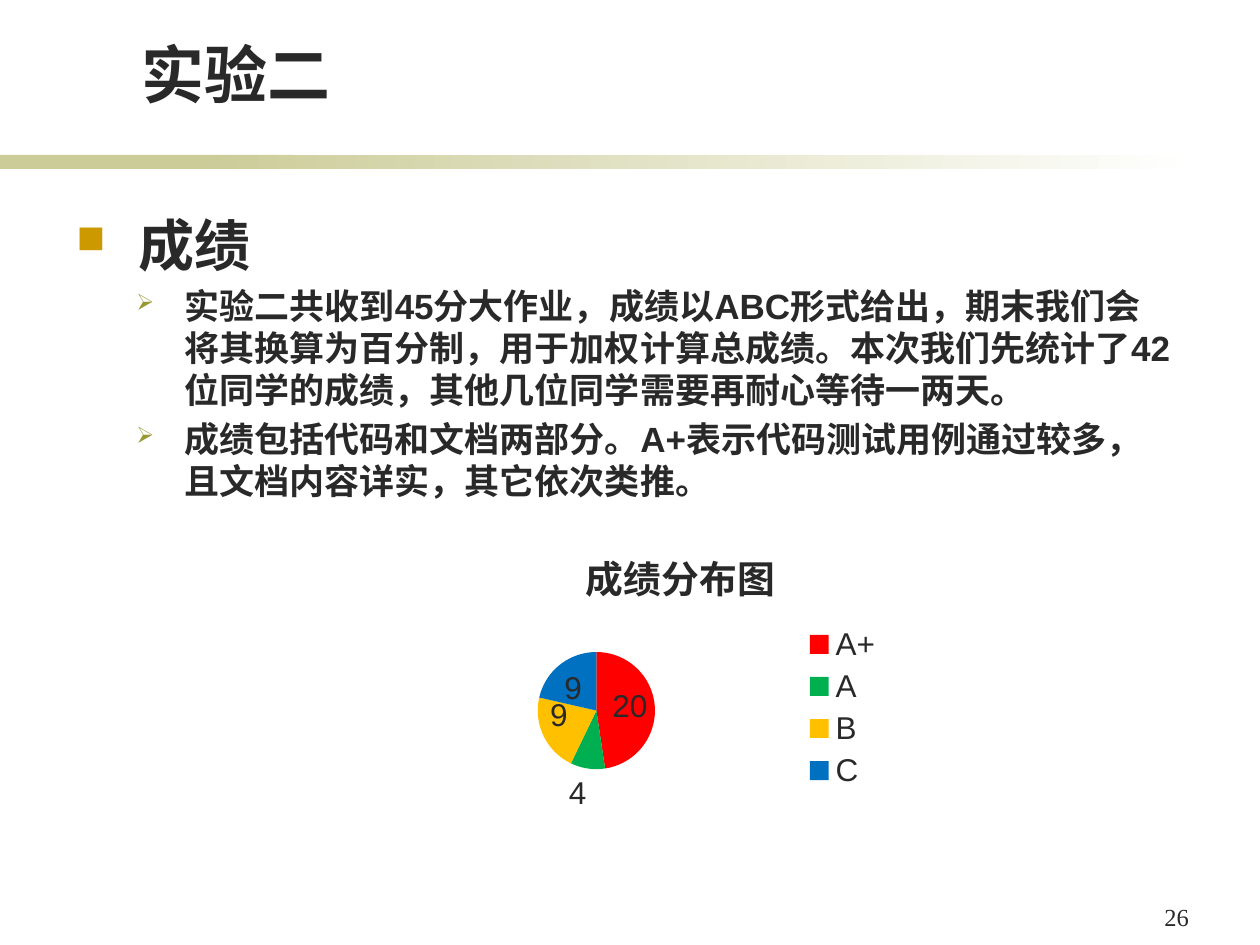
"""Build the grade summary slide with its bulleted notes and pie chart."""
from dataclasses import dataclass

import pptx
import pptx.chart.data
import pptx.dml.color
import pptx.enum.chart
import pptx.enum.shapes
import pptx.enum.text
import pptx.oxml
import pptx.oxml.ns
import pptx.util

EMU_PER_PX = 914400 / 126


@dataclass(frozen=True)
class Theme:
    """Colours, fonts and type sizes of the slide."""
    ink: str = "292929"
    band: str = "CCCC99"
    paper: str = "FFFFFF"
    gold: str = "CC9900"
    olive: str = "999933"
    font: str = "Arial"
    number_font: str = "Times New Roman"
    title: float = 36
    heading: float = 32
    note: float = 20
    chart: float = 18
    chart_title: float = 21.6
    number: float = 14


@dataclass(frozen=True)
class Area:
    """A rectangle in px."""
    left: int
    top: int
    width: int
    height: int

    def emu(self) -> tuple:
        """Return the rectangle in EMU."""
        return tuple(px(n) for n in (self.left, self.top, self.width, self.height))


@dataclass(frozen=True)
class Bullet:
    """A bullet style with its indent in px."""
    mark: str
    color: str
    percent: int
    size: float
    margin: int
    hanging: int


@dataclass(frozen=True)
class Grade:
    """One slice of the pie."""
    name: str
    count: int
    color: str
    outside: bool = False


THEME = Theme()
HEADING = Bullet("■", THEME.gold, 70, THEME.heading, 62, 62)
NOTE = Bullet("➢", THEME.olive, 65, THEME.note, 108, 48)
LINES = (
    (HEADING, "成绩"),
    (NOTE, "实验二共收到45分大作业，成绩以ABC形式给出，期末我们会将其换算为百分制，"
           "用于加权计算总成绩。本次我们先统计了42位同学的成绩，其他几位同学需要再耐心等待一两天。"),
    (NOTE, "成绩包括代码和文档两部分。A+表示代码测试用例通过较多，且文档内容详实，其它依次类推。"),
)
GRADES = (
    Grade("A+", 20, "FF0000"),
    Grade("A", 4, "00B050", outside=True),
    Grade("B", 9, "FFC000"),
    Grade("C", 9, "0070C0"),
)


def px(length: int) -> pptx.util.Emu:
    """Convert px to EMU."""
    return pptx.util.Emu(round(length * EMU_PER_PX))


def rgb(color: str) -> pptx.dml.color.RGBColor:
    """Convert a hex string to a colour."""
    return pptx.dml.color.RGBColor.from_string(color)


def style_font(font, size: float, bold: bool = False, name: str = THEME.font) -> None:
    """Set a font in the ink colour."""
    font.name, font.size, font.bold = name, pptx.util.Pt(size), bold
    font.color.rgb = rgb(THEME.ink)


def add_band(page, area: Area, fades: bool) -> None:
    """Draw one part of the rule below the title."""
    band = page.shapes.add_shape(pptx.enum.shapes.MSO_SHAPE.RECTANGLE, *area.emu())
    band.shadow.inherit = False
    band.line.fill.background()
    if fades:
        band.fill.gradient()
        band.fill.gradient_angle = 0
        for stop, color in zip(band.fill.gradient_stops, (THEME.band, THEME.paper)):
            stop.color.rgb = rgb(color)
    else:
        band.fill.solid()
        band.fill.fore_color.rgb = rgb(THEME.band)


def set_title(page, text: str, area: Area) -> None:
    """Fill and place the title placeholder."""
    title = page.shapes.title
    title.left, title.top, title.width, title.height = area.emu()
    frame = title.text_frame
    frame.text = text
    frame.auto_size = pptx.enum.text.MSO_AUTO_SIZE.NONE
    frame.vertical_anchor = pptx.enum.text.MSO_ANCHOR.BOTTOM
    para = frame.paragraphs[0]
    para.alignment = pptx.enum.text.PP_ALIGN.LEFT
    style_font(para.runs[0].font, THEME.title, bold=True)


def set_bullet(para, bullet: Bullet) -> None:
    """Give a paragraph its bullet and hanging indent."""
    para.space_before = pptx.util.Pt(bullet.size * 0.2)
    properties = para._p.get_or_add_pPr()
    properties.set("marL", str(px(bullet.margin)))
    properties.set("indent", str(px(-bullet.hanging)))
    namespace = pptx.oxml.ns.nsdecls("a")
    for xml in (
        f'<a:buClr {namespace}><a:srgbClr val="{bullet.color}"/></a:buClr>',
        f'<a:buSzPct {namespace} val="{bullet.percent * 1000}"/>',
        f'<a:buChar {namespace} char="{bullet.mark}"/>',
    ):
        properties.append(pptx.oxml.parse_xml(xml))


def add_notes(page, area: Area) -> None:
    """Write the bulleted lines."""
    frame = page.shapes.add_textbox(*area.emu()).text_frame
    frame.word_wrap = True
    for index, (bullet, text) in enumerate(LINES):
        para = frame.add_paragraph() if index else frame.paragraphs[0]
        para.text = text
        set_bullet(para, bullet)
        style_font(para.runs[0].font, bullet.size, bold=True)


def set_layout(element, index: int, **fractions: float) -> None:
    """Place a chart part by fractions of the chart area."""
    for old in element.findall(pptx.oxml.ns.qn("c:layout")):
        element.remove(old)
    target = '<c:layoutTarget val="inner"/>' if index == 0 else ""
    modes = "".join(f'<c:{key}Mode val="edge"/>' for key in ("x", "y"))
    values = "".join(f'<c:{key} val="{value}"/>' for key, value in fractions.items())
    element.insert(index, pptx.oxml.parse_xml(
        f'<c:layout {pptx.oxml.ns.nsdecls("c")}><c:manualLayout>'
        f'{target}{modes}{values}</c:manualLayout></c:layout>'))


def add_grade_chart(page, area: Area) -> None:
    """Draw the pie of grades."""
    data = pptx.chart.data.CategoryChartData()
    data.categories = [grade.name for grade in GRADES]
    data.add_series("Series 1", [grade.count for grade in GRADES])
    chart = page.shapes.add_chart(
        pptx.enum.chart.XL_CHART_TYPE.PIE, *area.emu(), data).chart
    style_font(chart.font, THEME.chart)

    chart.has_title = True
    chart.chart_title.text_frame.text = "成绩分布图"
    span = chart.chart_title.text_frame.paragraphs[0].runs[0]
    style_font(span.font, THEME.chart_title, bold=True)
    set_layout(chart.chart_title._element, 1, x=0.37, y=0.08)

    chart.has_legend = True
    chart.legend.position = pptx.enum.chart.XL_LEGEND_POSITION.RIGHT
    chart.legend.include_in_layout = False
    style_font(chart.legend.font, THEME.chart)
    set_layout(chart.legend._element, 1, x=0.75, y=0.34, w=0.14, h=0.55)

    plot = chart.plots[0]
    plot.vary_by_categories = True
    set_layout(plot._element.getparent(), 0, x=0.3, y=0.44, w=0.2, h=0.37)
    places = pptx.enum.chart.XL_LABEL_POSITION
    for index, grade in enumerate(GRADES):
        point = plot.series[0].points[index]
        point.format.fill.solid()
        point.format.fill.fore_color.rgb = rgb(grade.color)
        point.format.line.fill.background()
        style_font(point.data_label.font, THEME.chart)
        point.data_label.position = places.OUTSIDE_END if grade.outside else places.INSIDE_END


def add_page_number(page, text: str, area: Area) -> None:
    """Write the page number."""
    frame = page.shapes.add_textbox(*area.emu()).text_frame
    frame.text = text
    style_font(frame.paragraphs[0].runs[0].font, THEME.number, name=THEME.number_font)


def main() -> None:
    """Build and save the deck."""
    deck = pptx.Presentation()
    deck.slide_width, deck.slide_height = px(1260), px(945)
    page = deck.slides.add_slide(deck.slide_layouts.get_by_name("Title Only"))
    add_band(page, Area(0, 155, 294, 14), fades=False)
    add_band(page, Area(199, 155, 998, 14), fades=True)
    add_page_number(page, "26", Area(1152, 896, 59, 43))
    set_title(page, "实验二", Area(129, 29, 925, 88))
    add_notes(page, Area(64, 204, 1121, 638))
    add_grade_chart(page, Area(362, 512, 586, 318))
    deck.save("out.pptx")


if __name__ == "__main__":
    main()
